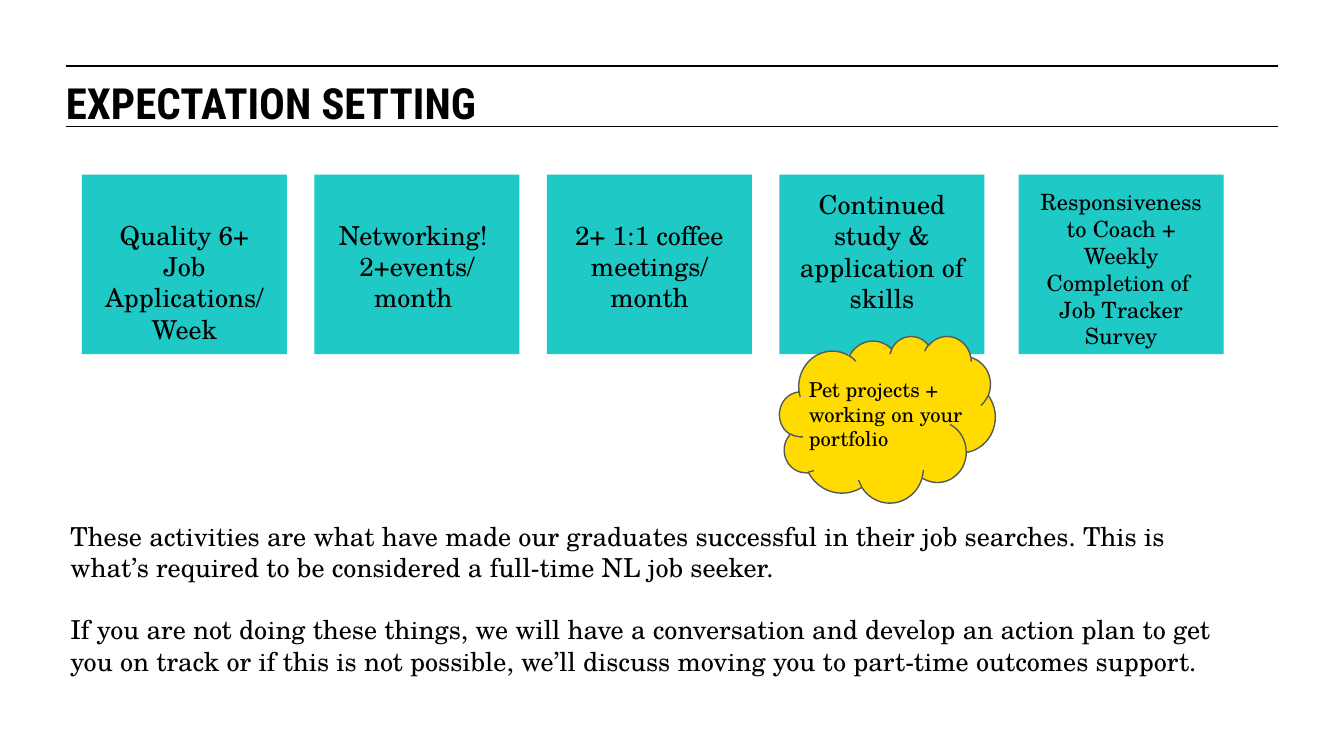
from dataclasses import dataclass

from lxml.etree import SubElement
from pptx import Presentation
from pptx.dml.color import RGBColor
from pptx.enum.shapes import MSO_CONNECTOR, MSO_SHAPE
from pptx.enum.text import MSO_ANCHOR, PP_ALIGN
from pptx.oxml.ns import qn
from pptx.util import Pt


@dataclass(frozen=True)
class Theme:
    ink: RGBColor = RGBColor(0x00, 0x00, 0x00)
    card: RGBColor = RGBColor(0x1E, 0xC9, 0xC6)
    cloud: RGBColor = RGBColor(0xFF, 0xDB, 0x00)
    outline: RGBColor = RGBColor(0x53, 0x58, 0x5F)
    heading_font: str = "Roboto Condensed"
    body_font: str = "TeX Gyre Schola"
    title: int = 23
    body: int = 14
    dense: int = 12
    note: int = 11
    paragraph_gap: float = 16.5
    line: float = 0.75


THEME = Theme()
EMU_PER_PX = 4572
INSET = 20
CARD_INSET = 21
LOWERED = 66
CARD_LEFT = 122
CARD_STEP = 346

CARDS = [
    (CARD_LEFT, ["Quality 6+ Job Applications/Week"], THEME.body, LOWERED),
    (CARD_LEFT + CARD_STEP, ["Networking! ", "2+events/", "month "], THEME.body, LOWERED),
    (CARD_LEFT + 2 * CARD_STEP, ["2+ 1:1 coffee meetings/", "month"], THEME.body, LOWERED),
    (CARD_LEFT + 3 * CARD_STEP, ["Continued study & application of skills"],
     THEME.body, INSET),
    (1516, ["Responsiveness to Coach + Weekly Completion of ", "Job Tracker Survey"],
     THEME.dense, INSET),
]
ADVICE = [
    "These activities are what have made our graduates successful in their job searches. "
    "This is what’s required to be considered a full-time NL job seeker.",
    "If you are not doing these things, we will have a conversation and develop an action plan "
    "to get you on track or if this is not possible, we’ll discuss moving you to part-time "
    "outcomes support.",
]


def px(*lengths):
    return [n * EMU_PER_PX for n in lengths]


def write(s, paragraphs, size, top=INSET, inset=INSET, font=THEME.body_font,
          bold=False, align=PP_ALIGN.LEFT, gap=0):
    tf = s.text_frame
    tf.word_wrap = True
    tf.vertical_anchor = MSO_ANCHOR.TOP
    tf.margin_left, tf.margin_top, tf.margin_right, tf.margin_bottom = px(
        inset, top, inset, inset)
    for i, text in enumerate(paragraphs):
        p = tf.add_paragraph() if i else tf.paragraphs[0]
        p.alignment = align
        if i:
            p.space_before = Pt(gap)
        r = p.add_run()
        r.text = text
        r.font.name = font
        r.font.size = Pt(size)
        r.font.bold = bold
        r.font.color.rgb = THEME.ink


def add_text(slide, box, paragraphs, size, **style):
    write(slide.shapes.add_textbox(*px(*box)), paragraphs, size, **style)


def add_filled(slide, kind, box, fill, outline=None):
    s = slide.shapes.add_shape(kind, *px(*box))
    s.shadow.inherit = False
    s.fill.solid()
    s.fill.fore_color.rgb = fill
    if outline is None:
        s.line.fill.background()
    else:
        s.line.color.rgb = outline
        s.line.width = Pt(THEME.line)
    return s


def add_rule(slide, y):
    s = slide.shapes.add_connector(MSO_CONNECTOR.STRAIGHT, *px(98, y, 1902, y))
    s.line.color.rgb = THEME.ink
    s.line.width = Pt(THEME.line)
    SubElement(s._element.spPr, qn("a:effectLst"))


def add_card(slide, left, paragraphs, size, top):
    s = add_filled(slide, MSO_SHAPE.RECTANGLE, (left, 260, 305, 267), THEME.card)
    write(s, paragraphs, size, top=top, inset=CARD_INSET, align=PP_ALIGN.CENTER)


def main():
    prs = Presentation()
    prs.slide_width, prs.slide_height = px(2000, 1125)
    slide = prs.slides.add_slide(prs.slide_layouts[6])
    for y in (98, 188):
        add_rule(slide, y)
    add_text(slide, (98, 114, 1188, 66), ["EXPECTATION SETTING"], THEME.title,
             top=0, inset=0, font=THEME.heading_font, bold=True)
    add_text(slide, (85, 754, 1766, 274), ADVICE, THEME.body, gap=THEME.paragraph_gap)
    for card in CARDS:
        add_card(slide, *card)
    add_filled(slide, MSO_SHAPE.CLOUD, (1160, 500, 321, 248), THEME.cloud, THEME.outline)
    add_text(slide, (1184, 541, 274, 136), ["Pet projects + working on your", "portfolio"],
             THEME.note)
    prs.save("out.pptx")


if __name__ == "__main__":
    main()
